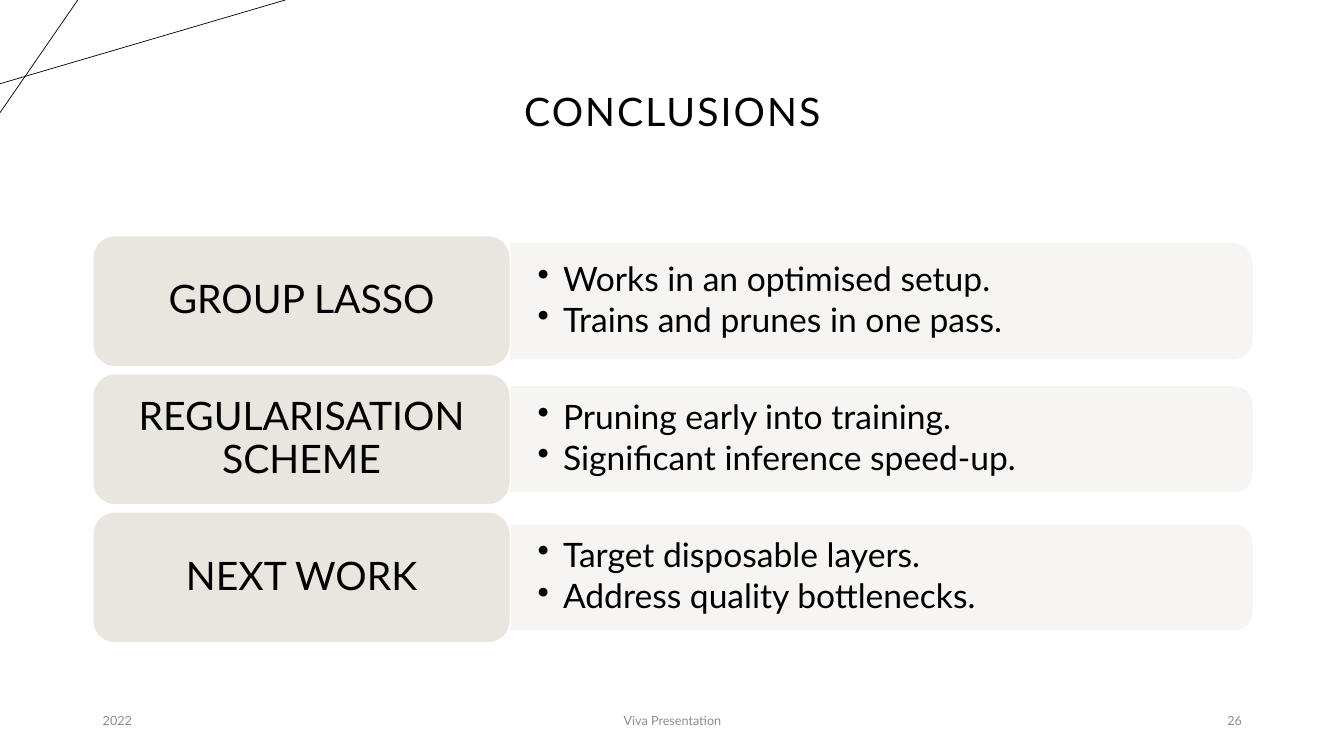
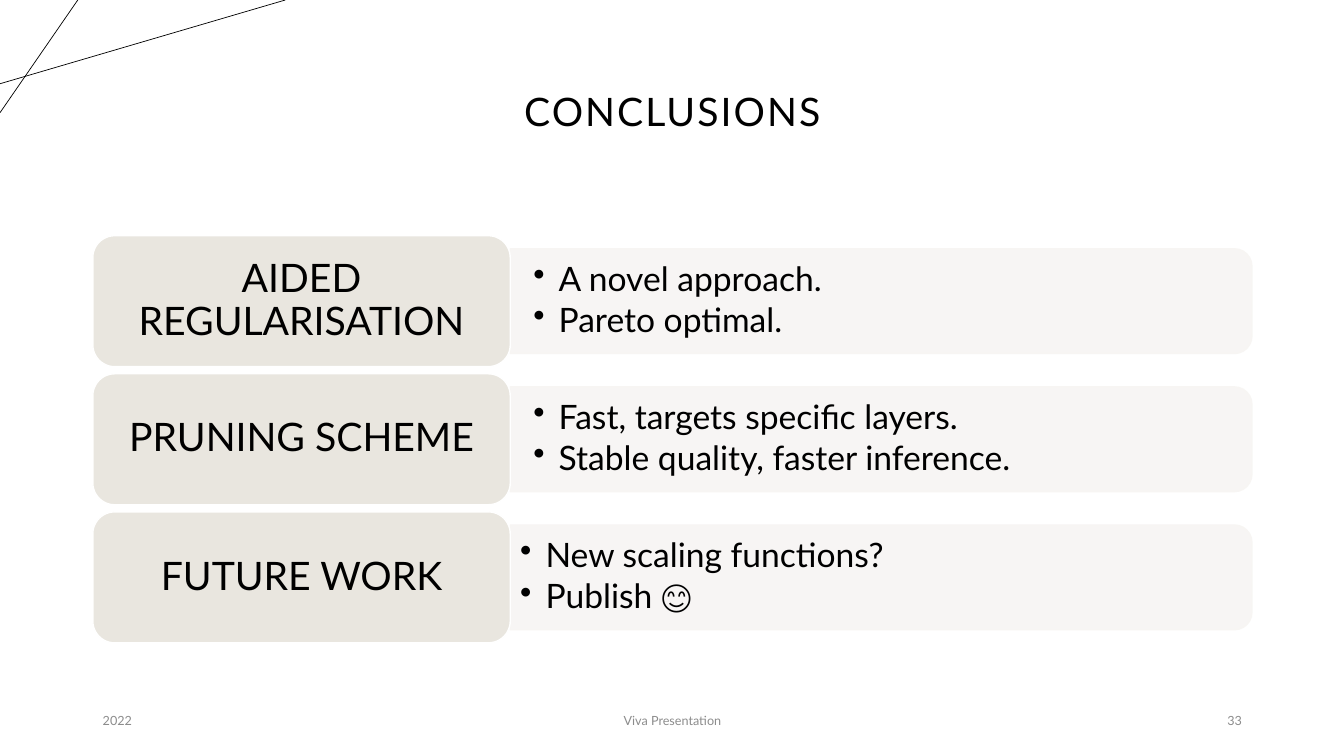
from dataclasses import dataclass

from lxml.etree import SubElement
from pptx import Presentation
from pptx.dml.color import RGBColor
from pptx.enum.shapes import MSO_CONNECTOR, MSO_SHAPE
from pptx.enum.text import MSO_ANCHOR, PP_ALIGN
from pptx.oxml.ns import qn
from pptx.shapes.autoshape import Shape
from pptx.slide import Slide
from pptx.util import Cm, Pt


# Theme and content types
@dataclass(frozen=True)
class Theme:
    font: str = "Lato"
    ink: RGBColor = RGBColor(0x00, 0x00, 0x00)
    white: RGBColor = RGBColor(0xFF, 0xFF, 0xFF)
    label: RGBColor = RGBColor(0xE9, 0xE6, 0xDF)
    panel: RGBColor = RGBColor(0xF7, 0xF5, 0xF3)
    muted: RGBColor = RGBColor(0x8C, 0x8C, 0x8C)
    head: Pt = Pt(28)
    body: Pt = Pt(24)
    small: Pt = Pt(9)


@dataclass(frozen=True)
class Box:
    left: float
    top: float
    width: float
    height: float

    def place(self) -> tuple[Cm, Cm, Cm, Cm]:
        return Cm(self.left), Cm(self.top), Cm(self.width), Cm(self.height)


@dataclass(frozen=True)
class Pad:
    side: float
    end: float


@dataclass(frozen=True)
class Row:
    label: str
    points: tuple[str, ...]
    pad: Pad
    height: float = 2.64


@dataclass(frozen=True)
class Page:
    number: str
    rows: tuple[Row, ...]


THEME = Theme()
THIN, TIGHT, MID, WIDE = Pad(0.25, 0.13), Pad(0.3, 0.15), Pad(0.58, 0.28), Pad(0.69, 0.36)

# Layout in centimetres
TITLE = Box(2.34, 1.02, 29.21, 3.68)
LABEL = Box(2.34, 5.94, 10.52, 3.3)
PITCH = 3.48
PANEL_W = 18.69
RAYS = ((0, 2.11, 7.19, 0), (1.96, 0, 0, 2.84))
FOOTERS = (
    (Box(2.34, 17.65, 7.62, 1.02), PP_ALIGN.LEFT),
    (Box(11.23, 17.65, 11.43, 1.02), PP_ALIGN.CENTER),
    (Box(23.93, 17.65, 7.62, 1.02), PP_ALIGN.RIGHT),
)

# Text formats: paragraph values and font values
HEAD = ({"alignment": PP_ALIGN.CENTER, "line_spacing": 0.9}, {"size": THEME.head})
BODY = ({"line_spacing": 0.9, "space_after": Pt(3.6)}, {"size": THEME.body})

PAGES = (
    Page("26", (
        Row("GROUP LASSO",
            ("Works in an optimised setup.", "Trains and prunes in one pass."), WIDE, 2.9),
        Row("REGULARISATION SCHEME",
            ("Pruning early into training.", "Significant inference speed-up."), WIDE),
        Row("NEXT WORK",
            ("Target disposable layers.", "Address quality bottlenecks."), WIDE),
    )),
    Page("33", (
        Row("AIDED REGULARISATION", ("A novel approach.", "Pareto optimal."), MID),
        Row("PRUNING SCHEME",
            ("Fast, targets specific layers.", "Stable quality, faster inference."), MID),
        Row("FUTURE WORK", ("New scaling functions?", "Publish 😊"), THIN),
    )),
)


# Helpers
def assign(target: object, values: dict) -> None:
    for name, value in values.items():
        setattr(target, name, value)


def write(shape: Shape, lines: tuple[str, ...], style: tuple[dict, dict],
          pad: Pad = THIN, color: RGBColor = THEME.ink) -> None:
    frame = shape.text_frame
    assign(frame, {
        "word_wrap": True, "vertical_anchor": MSO_ANCHOR.MIDDLE,
        "margin_left": Cm(pad.side), "margin_right": Cm(pad.side),
        "margin_top": Cm(pad.end), "margin_bottom": Cm(pad.end),
    })
    frame.text = "\n".join(lines)
    for para in frame.paragraphs:
        assign(para, style[0])
        font = para.runs[0].font
        assign(font, {"name": THEME.font, **style[1]})
        font.color.rgb = color


def block(slide: Slide, kind: MSO_SHAPE, box: Box, fill: RGBColor, edge: RGBColor) -> Shape:
    shape = slide.shapes.add_shape(kind, *box.place())
    shape.shadow.inherit = False
    shape.fill.solid()
    shape.fill.fore_color.rgb = fill
    shape.line.color.rgb = edge
    shape.line.width = Pt(1)
    return shape


# Parts of a slide
def draw_frame(slide: Slide, number: str) -> None:
    for x1, y1, x2, y2 in RAYS:
        ray = slide.shapes.add_connector(
            MSO_CONNECTOR.STRAIGHT, Cm(x1), Cm(y1), Cm(x2), Cm(y2))
        ray.line.color.rgb = THEME.ink
        ray.line.width = Pt(0.5)
        SubElement(ray._element.spPr, qn("a:effectLst"))

    title = slide.shapes.add_textbox(*TITLE.place())
    write(title, ("CONCLUSIONS",), HEAD)
    title.text_frame.paragraphs[0].runs[0].font._element.set("spc", "150")

    for (box, align), text in zip(FOOTERS, ("2022", "Viva Presentation", number)):
        footer = slide.shapes.add_textbox(*box.place())
        write(footer, (text,), ({"alignment": align}, {"size": THEME.small}),
              color=THEME.muted)


def draw_panel(slide: Slide, row: Row, mid: float) -> None:
    box = Box(LABEL.left + LABEL.width, mid - row.height / 2, PANEL_W, row.height)
    # The preset rounds its top, so a quarter turn rounds the right side
    upright = Box(box.left + (PANEL_W - row.height) / 2, mid - PANEL_W / 2,
                  row.height, PANEL_W)
    panel = block(slide, MSO_SHAPE.ROUND_2_SAME_RECTANGLE, upright, THEME.panel, THEME.panel)
    panel.rotation = 90
    for color in panel._element.spPr.iter(qn("a:srgbClr")):
        SubElement(color, qn("a:alpha"), val="90000")

    points = slide.shapes.add_textbox(*box.place())
    write(points, row.points, BODY, row.pad)
    for para in points.text_frame.paragraphs:
        props = para._p.get_or_add_pPr()
        props.set("marL", str(Cm(0.64)))
        props.set("indent", str(-Cm(0.64)))
        SubElement(props, qn("a:buChar"), char="•")


def draw_row(slide: Slide, row: Row, index: int) -> None:
    top = LABEL.top + index * PITCH
    draw_panel(slide, row, top + LABEL.height / 2)
    box = Box(LABEL.left, top, LABEL.width, LABEL.height)
    label = block(slide, MSO_SHAPE.ROUNDED_RECTANGLE, box, THEME.label, THEME.white)
    write(label, (row.label,), HEAD, TIGHT)


def main() -> None:
    deck = Presentation()
    assign(deck, {"slide_width": Cm(33.87), "slide_height": Cm(19.05)})
    for page in PAGES:
        slide = deck.slides.add_slide(deck.slide_layouts[6])
        draw_frame(slide, page.number)
        for index, row in enumerate(page.rows):
            draw_row(slide, row, index)
    deck.save("out.pptx")


if __name__ == "__main__":
    main()
